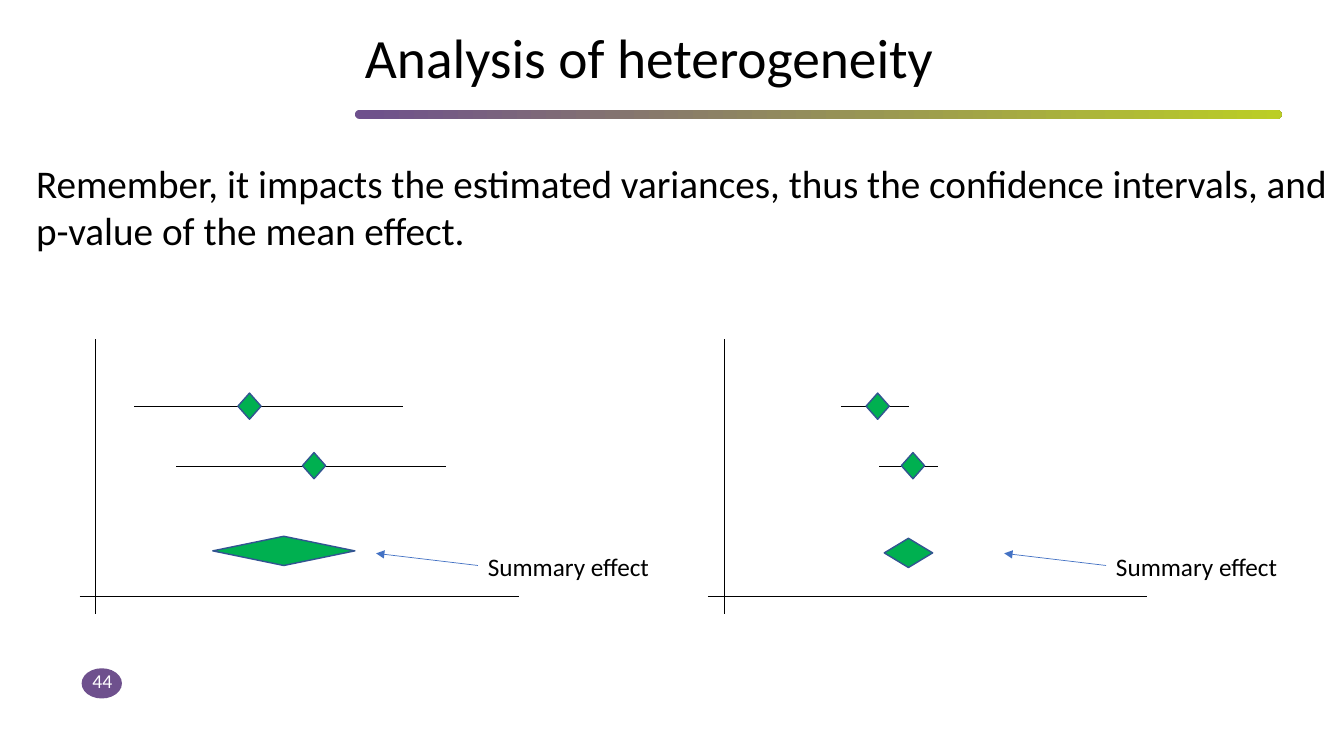
from pptx import Presentation
from pptx.dml.color import RGBColor
from pptx.enum.shapes import MSO_CONNECTOR, MSO_SHAPE
from pptx.enum.text import MSO_ANCHOR, PP_ALIGN
from pptx.oxml.ns import qn
from pptx.util import Inches, Pt
from lxml.etree import SubElement

BLACK, WHITE, PURPLE, LIME = "000000", "FFFFFF", "6E508D", "BBCE25"
GREEN, OUTLINE, BLUE = "00B050", "325491", "4472C4"
color = RGBColor.from_string

deck = Presentation()
deck.slide_width, deck.slide_height = Inches(13.33), Inches(7.5)
page = deck.slides.add_slide(deck.slide_layouts[6])
shapes = page.shapes


def add_text(text, left, top, width, height, size, ink=BLACK, align=PP_ALIGN.LEFT,
             anchor=MSO_ANCHOR.TOP, wrap=True, spacing=1.0):
    box = shapes.add_textbox(Inches(left), Inches(top), Inches(width), Inches(height))
    box.text_frame.word_wrap = wrap
    box.text_frame.vertical_anchor = anchor
    para = box.text_frame.paragraphs[0]
    para.alignment = align
    para.line_spacing = spacing
    span = para.add_run()
    span.text = text
    span.font.name = "Calibri"
    span.font.size = Pt(size)
    span.font.color.rgb = color(ink)


def add_line(x1, y1, x2, y2, ink=BLACK):
    line = shapes.add_connector(MSO_CONNECTOR.STRAIGHT, Inches(x1), Inches(y1),
                                Inches(x2), Inches(y2))
    line.line.color.rgb = color(ink)
    line.line.width = Pt(0.5)
    SubElement(line._element.spPr, qn("a:effectLst"))
    return line


# Title rule and page number
rule = shapes.add_shape(MSO_SHAPE.ROUNDED_RECTANGLE, Inches(3.52), Inches(1.09),
                        Inches(9.19), Inches(0.09))
rule.adjustments[0] = 0.5
rule.shadow.inherit = False
rule.line.fill.background()
rule.fill.gradient()
rule.fill.gradient_angle = 0
for stop, ink, position in zip(rule.fill.gradient_stops, (PURPLE, LIME), (0, 1)):
    stop.color.rgb = color(ink)
    stop.position = position

badge = shapes.add_shape(MSO_SHAPE.OVAL, Inches(0.81), Inches(6.63), Inches(0.4), Inches(0.3))
badge.shadow.inherit = False
badge.fill.solid()
badge.fill.fore_color.rgb = color(PURPLE)
badge.line.fill.background()

add_text("Analysis of heterogeneity", 3.52, 0.24, 9.19, 0.72, 39.6,
         anchor=MSO_ANCHOR.MIDDLE, spacing=0.9)
add_text("44", 0.55, 6.62, 0.93, 0.26, 14, ink=WHITE, align=PP_ALIGN.CENTER,
         anchor=MSO_ANCHOR.MIDDLE)
add_text("Remember, it impacts the estimated variances, thus the confidence intervals, "
         "and p-value of the mean effect.", 0.26, 1.53, 13.07, 1.04, 28)

# Forest plots: left edge, intervals (start, end, y), diamonds (left, top, width, height)
plots = [
    (0.79, [(1.33, 4, 4.03), (1.75, 4.42, 4.63)],
     [(2.36, 3.9, 0.23, 0.26), (3, 4.49, 0.23, 0.26), (2.11, 5.32, 1.41, 0.29)]),
    (7.02, [(8.34, 9.02, 4.03), (8.72, 9.3, 4.63)],
     [(8.59, 3.9, 0.23, 0.26), (8.94, 4.49, 0.23, 0.26), (8.77, 5.34, 0.48, 0.29)]),
]
for left, intervals, diamonds in plots:
    add_line(left, 5.92, left + 4.36, 5.92)
    add_line(left + 0.16, 6.09, left + 0.16, 3.36)
    for start, end, y in intervals:
        add_line(start, y, end, y)
    for place in diamonds:
        diamond = shapes.add_shape(MSO_SHAPE.DIAMOND, *map(Inches, place))
        diamond.shadow.inherit = False
        diamond.fill.solid()
        diamond.fill.fore_color.rgb = color(GREEN)
        diamond.line.color.rgb = color(OUTLINE)
        diamond.line.width = Pt(1)
    arrow = add_line(left + 3.95, 5.61, left + 2.94, 5.49, ink=BLUE)
    SubElement(arrow.line._get_or_add_ln(), qn("a:tailEnd"), type="triangle")
    add_text("Summary effect", left + 3.95, 5.42, 1.82, 0.4, 18, wrap=False)

deck.save("out.pptx")
